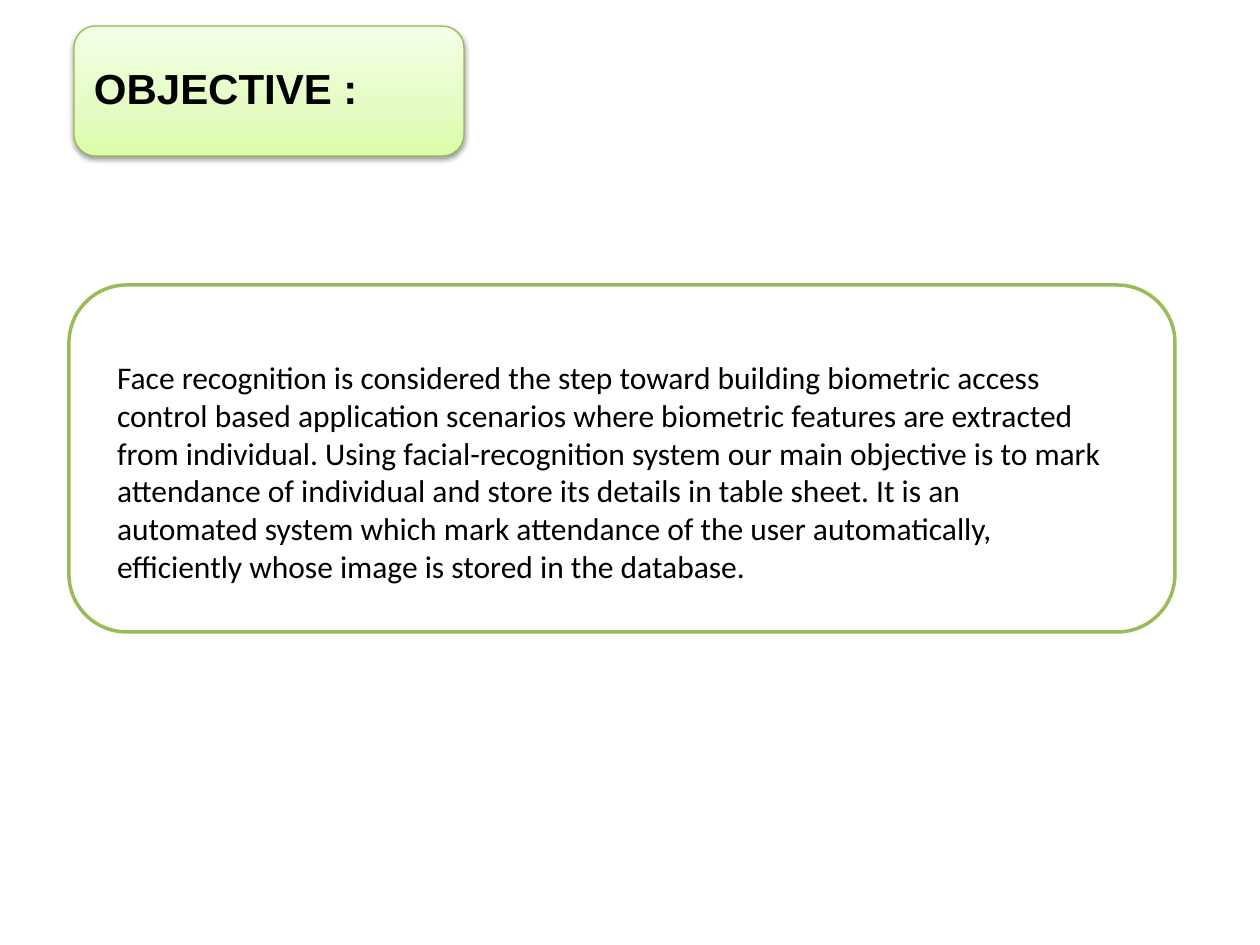
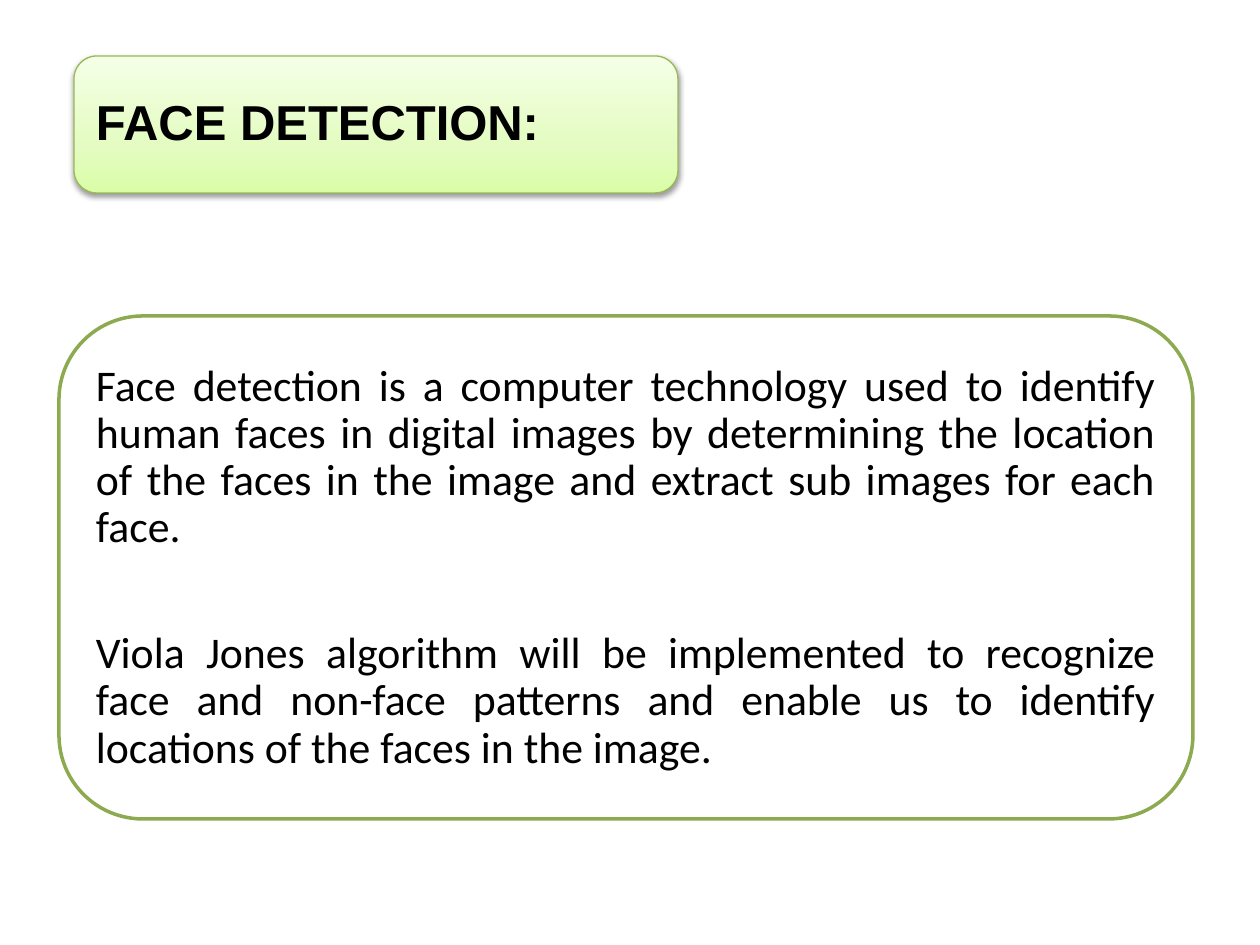
from lxml import etree
from pptx import Presentation
from pptx.dml.color import RGBColor
from pptx.enum.shapes import MSO_SHAPE
from pptx.enum.text import MSO_ANCHOR, PP_ALIGN
from pptx.oxml.ns import qn
from pptx.util import Emu, Pt

ROUNDED = MSO_SHAPE.ROUNDED_RECTANGLE
TOP, MIDDLE = MSO_ANCHOR.TOP, MSO_ANCHOR.MIDDLE
LEFT, JUSTIFY = PP_ALIGN.LEFT, PP_ALIGN.JUSTIFY

BLACK = RGBColor(0x00, 0x00, 0x00)
WHITE = RGBColor(0xFF, 0xFF, 0xFF)
GREEN = RGBColor(0x9B, 0xBB, 0x59)
DARK_GREEN = RGBColor(0x8D, 0xAA, 0x51)
TITLE_LINE = RGBColor(0x98, 0xB9, 0x55)
TITLE_STOPS = (
    (0, RGBColor(0xDA, 0xFD, 0xA7)),
    (35, RGBColor(0xE4, 0xFC, 0xC2)),
    (100, RGBColor(0xF5, 0xFF, 0xE7)),
)

TITLE_FONT = "Arial"
BODY_FONT = "Calibri"
EMU_PER_PX = 914400 / 126
BLANK_LAYOUT = 6
TITLE_MARGIN = 7


def px(length):
    return Emu(round(length * EMU_PER_PX))


class SlideBuilder:
    def __init__(self):
        self.deck = Presentation()
        self.deck.slide_width = px(1260)
        self.deck.slide_height = px(945)
        self.page = None

    def new_page(self):
        self.page = self.deck.slides.add_slide(self.deck.slide_layouts[BLANK_LAYOUT])

    def panel(self, frame, line_color, line_width=2):
        box = self.page.shapes.add_shape(ROUNDED, *map(px, frame))
        box.shadow.inherit = False
        box.fill.solid()
        box.fill.fore_color.rgb = WHITE
        box.line.color.rgb = line_color
        box.line.width = Pt(line_width)
        return box

    def text(self, frame, paragraphs, size, font=BODY_FONT, bold=False, align=LEFT,
             anchor=MIDDLE, insets=(13, 13), line_spacing=0.9, gaps=()):
        box = self.page.shapes.add_textbox(*map(px, frame))
        text_frame = box.text_frame
        text_frame.word_wrap = True
        text_frame.vertical_anchor = anchor
        text_frame.margin_left = text_frame.margin_right = px(insets[0])
        text_frame.margin_top = text_frame.margin_bottom = px(insets[1])
        text_frame.text = "\n".join(paragraphs)
        for para in text_frame.paragraphs:
            para.alignment = align
            para.line_spacing = line_spacing
            for span in para.runs:
                span.font.name = font
                span.font.size = Pt(size)
                span.font.bold = bold
                span.font.color.rgb = BLACK
        for para, gap in zip(text_frame.paragraphs, gaps):
            para.space_after = Pt(gap)

    def title(self, frame, words, size, inset):
        box = self.panel(frame, TITLE_LINE, 0.75)
        self.shade(box)
        self.drop_shadow(box)
        left, top, width, height = frame
        inner = (left + TITLE_MARGIN, top + TITLE_MARGIN,
                 width - 2 * TITLE_MARGIN, height - 2 * TITLE_MARGIN)
        self.text(inner, [words], size, TITLE_FONT, bold=True,
                  insets=(inset, inset), gaps=(round(size * 0.35),))

    def shade(self, box):
        box.fill.gradient()
        box.fill.gradient_angle = 90
        stops = box._element.spPr.find(qn("a:gradFill")).find(qn("a:gsLst"))
        for stop in list(stops):
            stops.remove(stop)
        for position, color in TITLE_STOPS:
            stop = etree.SubElement(stops, qn("a:gs"), pos=str(position * 1000))
            etree.SubElement(stop, qn("a:srgbClr"), val=str(color))

    def drop_shadow(self, box):
        effects = box._element.spPr.find(qn("a:effectLst"))
        shadow = etree.SubElement(
            effects, qn("a:outerShdw"), blurRad=str(Pt(3.1)), dist=str(Pt(1.6)),
            dir="5400000", rotWithShape="0")
        color = etree.SubElement(shadow, qn("a:srgbClr"), val=str(BLACK))
        etree.SubElement(color, qn("a:alpha"), val="38000")


def objective_page(builder):
    builder.new_page()
    builder.panel((69, 285, 1106, 347), GREEN)
    builder.title((74, 26, 390, 130), "OBJECTIVE :", 24, 13)
    builder.text((104, 352, 1012, 242), [
        "Face recognition is considered the step toward building biometric access "
        "control based application scenarios where biometric features are extracted "
        "from individual. Using facial-recognition system our main objective is to mark "
        "attendance of individual and store its details in table sheet. It is an "
        "automated system which mark attendance of the user automatically, "
        "efficiently whose image is stored in the database.",
    ], 18, anchor=TOP, insets=(13, 6), line_spacing=1.0)


def detection_page(builder):
    builder.new_page()
    builder.panel((59, 316, 1134, 503), DARK_GREEN)
    builder.text((83, 341, 1085, 454), [
        "Face detection is a computer technology used to identify human faces in "
        "digital images by determining the location of the faces in the image and "
        "extract sub images for each face.",
        "Viola Jones algorithm will be implemented to recognize face and non-face "
        "patterns and enable us to identify locations of the faces in the image.",
    ], 25, align=JUSTIFY, gaps=(45, 9))
    builder.title((74, 56, 604, 137), "FACE DETECTION:", 28, 15)


def main():
    builder = SlideBuilder()
    objective_page(builder)
    detection_page(builder)
    builder.deck.save("out.pptx")


if __name__ == "__main__":
    main()
